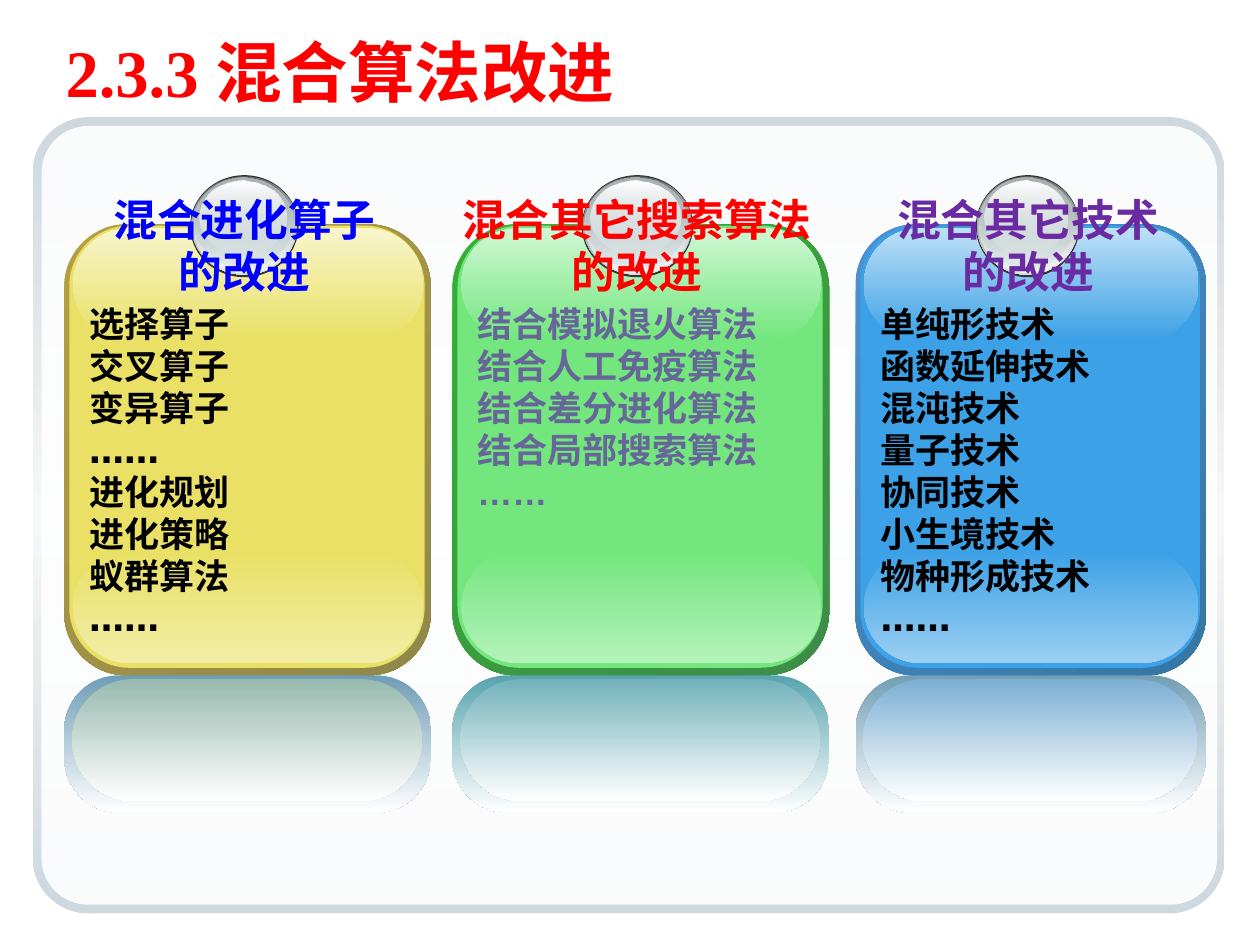
from lxml import etree
from pptx import Presentation
from pptx.dml.color import RGBColor
from pptx.enum import shapes, text as txt
from pptx.oxml import ns
from pptx.util import Inches, Pt

ROUND = shapes.MSO_SHAPE.ROUNDED_RECTANGLE
OVAL = shapes.MSO_SHAPE.OVAL


def paint(shape, colours, angle=90):
    """Fill with "RRGGBB" or "RRGGBB/opacity" colours, spread evenly when several."""
    shape.shadow.inherit = False
    shape.line.fill.background()
    shape.fill.solid()
    solid = shape.fill._xPr.find(ns.qn("a:solidFill"))
    marks = []
    for colour in colours:
        value, _, opacity = colour.partition("/")
        alpha = f'<a:alpha val="{int(opacity) * 1000}"/>' if opacity else ""
        marks.append(f'<a:srgbClr val="{value}">{alpha}</a:srgbClr>')
    if len(marks) == 1:
        body = f"<a:solidFill {ns.nsdecls('a')}>{marks[0]}</a:solidFill>"
    else:
        step = 100000 // (len(marks) - 1)
        stops = "".join(f'<a:gs pos="{i * step}">{m}</a:gs>' for i, m in enumerate(marks))
        body = (f"<a:gradFill {ns.nsdecls('a')} rotWithShape=\"1\"><a:gsLst>{stops}</a:gsLst>"
                f'<a:lin ang="{angle * 60000}" scaled="0"/></a:gradFill>')
    solid.getparent().replace(solid, etree.fromstring(body))


def write(frame, text, size, colour, font="Arial", align=txt.PP_ALIGN.LEFT, hanging=0):
    """Fill the frame with one bold paragraph per line of text."""
    for i, line in enumerate(text.split("\n")):
        paragraph = frame.paragraphs[0] if i == 0 else frame.add_paragraph()
        paragraph.alignment = align
        if hanging:
            paragraph._p.get_or_add_pPr().set("marL", str(Inches(hanging)))
            paragraph._p.get_or_add_pPr().set("indent", str(-Inches(hanging)))
        run = paragraph.add_run()
        run.text = line
        run.font.size, run.font.bold, run.font.name = Pt(size), True, font
        run.font.color.rgb = RGBColor.from_string(colour)


deck = Presentation()
deck.slide_width, deck.slide_height = Inches(10), Inches(7.5)
slide = deck.slides.add_slide(deck.slide_layouts[5])

# Panel behind the cards
for left, top, width, height, corner, colours in [
    (0.26, 0.93, 9.46, 6.32, 0.07, ["CFD7DF", "F5F7F8", "CFD7DF"]),
    (0.33, 1, 9.33, 6.18, 0.06, ["FFFFFF/90"]),
]:
    panel = slide.shapes.add_shape(ROUND, Inches(left), Inches(top), Inches(width), Inches(height))
    panel.adjustments[0] = corner
    paint(panel, colours)

title = slide.shapes.title
title.left, title.top, title.width, title.height = map(Inches, (0.42, 0.25, 9.33, 0.62))
title.text_frame.vertical_anchor = txt.MSO_ANCHOR.MIDDLE
title.text_frame.auto_size = txt.MSO_AUTO_SIZE.NONE
write(title.text_frame, "2.3.3 混合算法改进", 38, "FF0000", font="Times New Roman")

cards = [
    dict(left=6.79, width=2.78, edge=["4E91D4", "3477A4"], face="3CA1E6",
         bottom="9BCFF2", top="BEE0F7", mirror=["729EB4", "7DAFD4"],
         heading="混合其它技术\n的改进", heading_colour="692AA2", heading_left=7.02, heading_width=2.28,
         items="单纯形技术\n函数延伸技术\n混沌技术\n量子技术\n协同技术\n小生境技术\n物种形成技术\n……",
         items_colour="000000", font="DejaVu Sans", hanging=0.38, items_height=2.77),
    dict(left=3.59, width=2.99, edge=["34B034", "3F8B4A"], face="73E77E",
         bottom="B3F2B9", top="D0F7D4", mirror=["58A4AE", "72B2BB"],
         heading="混合其它搜索算法\n的改进", heading_colour="FF0000", heading_left=3.57, heading_width=2.97,
         items="结合模拟退火算法\n结合人工免疫算法\n结合差分进化算法\n结合局部搜索算法\n……",
         items_colour="666699", font="Arial", hanging=0.38, items_height=1.77),
    dict(left=0.51, width=2.91, edge=["B59F43", "8F8849"], face="E9E065",
         bottom="F2EDA6", top="F8F5CC", mirror=["6F9DB7", "98BAAF"],
         heading="混合进化算子\n的改进", heading_colour="0000FF", heading_left=0.8, heading_width=2.28,
         items="选择算子\n交叉算子\n变异算子\n……\n进化规划\n进化策略\n蚁群算法\n……",
         items_colour="000000", font="DejaVu Sans", hanging=0.29, items_height=3.15),
]

for card in cards:
    group = slide.shapes.add_group_shape().shapes
    scale = card["width"] / 2.91
    # Offset and width are those of a card 2.91 inches wide
    layers = [
        (ROUND, 0, 1.78, 2.91, 3.58, 0.17, card["edge"], 45),
        (ROUND, 0.04, 1.79, 2.82, 3.51, 0.17, [card["face"]], 90),
        (ROUND, 0.07, 4.37, 2.78, 0.89, 0.5, [card["face"], card["bottom"]], 90),
        (ROUND, 0.07, 1.81, 2.78, 0.89, 0.5, [card["top"], card["face"]], 90),
        (ROUND, 0, 5.36, 2.91, 1.09, 0.4, [card["mirror"][0], "FFFFFF"], 90),
        (ROUND, 0.06, 5.39, 2.78, 0.97, 0.5, [card["mirror"][1], "FFFFFF"], 90),
        (OVAL, 1, 1.39, 0.86, 0.81, None, ["333333"], 90),
        (OVAL, 1.01, 1.4, 0.84, 0.78, None, ["636869", "D6E1E2"], 90),
        (OVAL, 1.02, 1.4, 0.82, 0.76, None, ["D6E1E2/0", "F1F5F5"], 90),
        (OVAL, 1.03, 1.41, 0.78, 0.71, None, ["AAB2B3", "D6E1E2/48"], 90),
        (OVAL, 1.07, 1.43, 0.69, 0.58, None, ["FFFFFF", "D6E1E2/38"], 90),
    ]
    for kind, offset, top, width, height, corner, colours, angle in layers:
        layer = group.add_shape(kind, Inches(card["left"] + offset * scale), Inches(top),
                                Inches(width * scale), Inches(height))
        if corner:
            layer.adjustments[0] = corner
        paint(layer, colours, angle)

    heading = group.add_textbox(Inches(card["heading_left"]), Inches(1.48),
                                Inches(card["heading_width"]), Inches(0.94)).text_frame
    heading.word_wrap = False
    heading.auto_size = txt.MSO_AUTO_SIZE.SHAPE_TO_FIT_TEXT
    write(heading, card["heading"], 25, card["heading_colour"], align=txt.PP_ALIGN.CENTER)

    items = group.add_textbox(Inches(card["left"] + 0.1), Inches(2.35),
                              Inches(card["width"] - 0.14), Inches(card["items_height"])).text_frame
    items.word_wrap = True
    items.auto_size = txt.MSO_AUTO_SIZE.SHAPE_TO_FIT_TEXT
    write(items, card["items"], 20, card["items_colour"], font=card["font"], hanging=card["hanging"])

deck.save("out.pptx")
